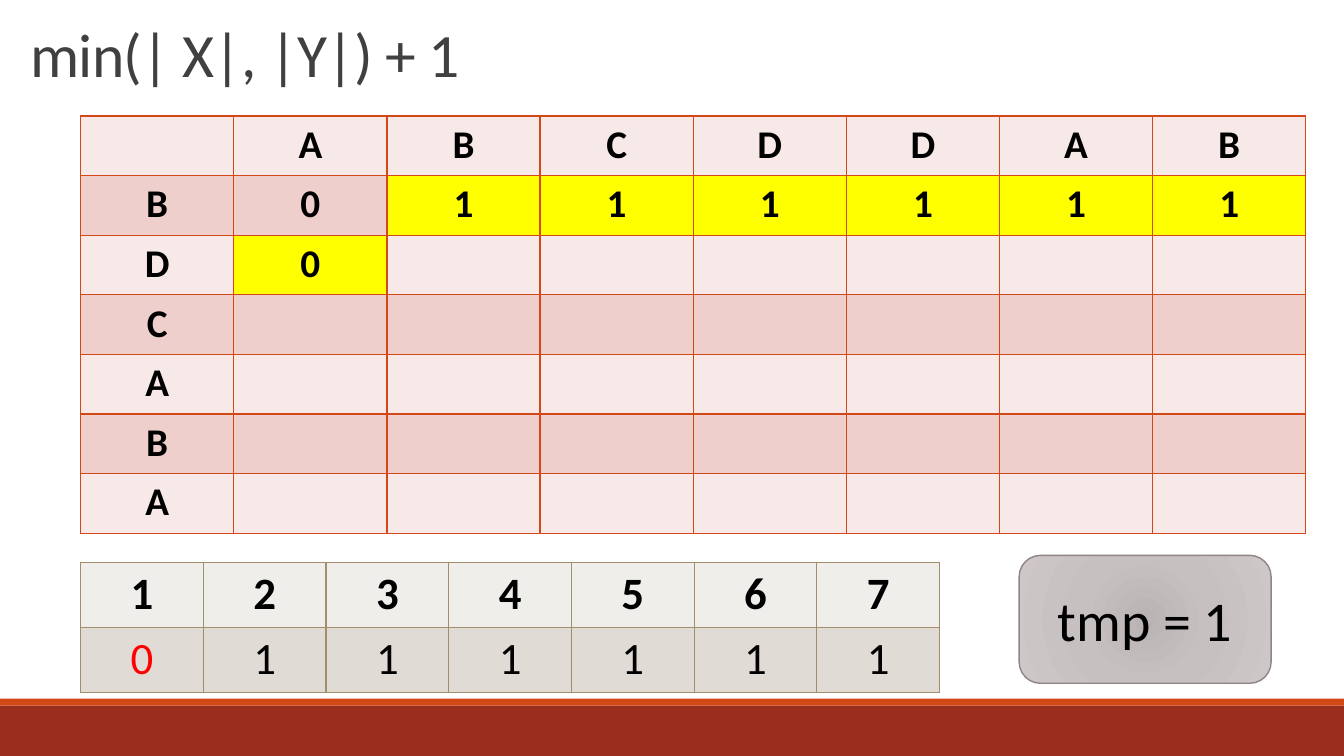
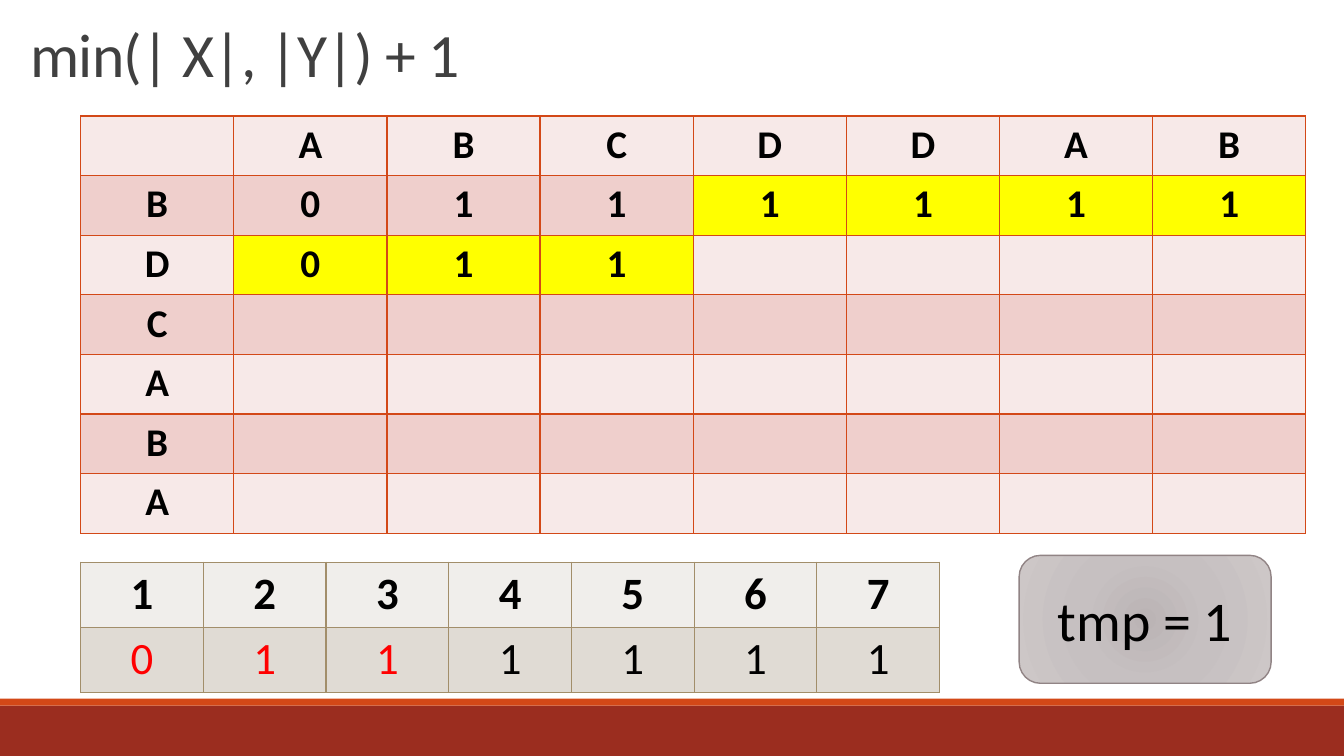
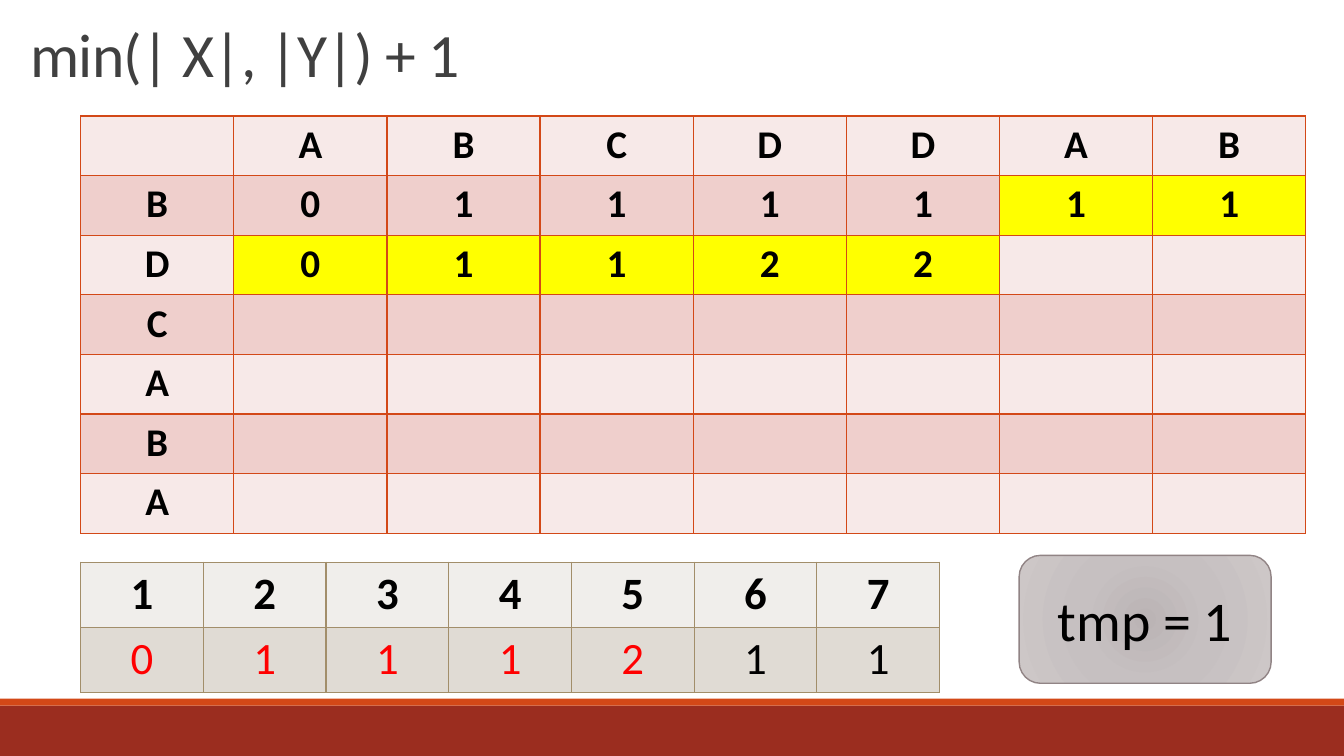
"""Build three slides that trace a longest-common-subsequence table kept in one row."""
from dataclasses import dataclass

from lxml import etree
from pptx import Presentation
from pptx.dml.color import RGBColor
from pptx.enum.shapes import MSO_SHAPE
from pptx.enum.text import MSO_ANCHOR, PP_ALIGN
from pptx.oxml import parse_xml
from pptx.oxml.ns import nsdecls
from pptx.slide import Slide
from pptx.table import _Cell
from pptx.text.text import TextFrame
from pptx.util import Pt

RECT, ROUND_RECT = MSO_SHAPE.RECTANGLE, MSO_SHAPE.ROUNDED_RECTANGLE
LEFT, CENTER = PP_ALIGN.LEFT, PP_ALIGN.CENTER
MIDDLE, BOTTOM = MSO_ANCHOR.MIDDLE, MSO_ANCHOR.BOTTOM
FONT = "Calibri"
SLIDE_W, SLIDE_H = 960, 540

COLORS = {
    "text": "000000",
    "title": "404040",
    "band": "9B2D1F",
    "accent": "D34817",
    "pink": "F7E9E8",
    "rose": "EFCFCC",
    "active": "FFFF00",
    "sand": "F0EEEB",
    "stone": "E0DBD4",
    "sand_line": "A28E6A",
    "changed": "FF0000",
    "box_line": "918485",
}
BOX_STOPS = ((0, "BBB4B5"), (45, "C6C0C1"), (100, "CDC7C7"))

X, Y = "ABCDDAB", "BDCABA"
FIRST_ROW, SECOND_ROW = "0111111", "01122"


@dataclass(frozen=True)
class Band:
    """A full-width strip at the foot of a slide."""
    top: float
    height: float
    color: str


@dataclass(frozen=True)
class Cell:
    """The content and look of one table cell."""
    text: str
    fill: str
    color: str = "text"
    bold: bool = True


@dataclass(frozen=True)
class Grid:
    """The place, cell size and style of a table."""
    left: float
    top: float
    col_w: float
    row_h: float
    size: float
    border: str


@dataclass(frozen=True)
class Step:
    """How many cells of the second row are done, and the stored row."""
    done: int
    stored: str


BANDS = (Band(504, 36, "band"), Band(499, 5, "accent"))
MATRIX = Grid(57.6, 82.8, 109.4, 42.6, 28, "accent")
STORE = Grid(57.6, 401.6, 87.65, 46.4, 32, "sand_line")
STEPS = (Step(1, "0111111"), Step(3, "0111111"), Step(5, "0111211"))


def rgb(name: str) -> RGBColor:
    """Return a named colour."""
    return RGBColor.from_string(COLORS[name])


def add_text(tf: TextFrame, text: str, size: float, color: str,
             align: PP_ALIGN = CENTER, bold: bool = False) -> None:
    """Write one run into the first paragraph of a text frame."""
    p = tf.paragraphs[0]
    p.alignment = align
    r = p.add_run()
    r.text = text
    r.font.name, r.font.size, r.font.bold = FONT, Pt(size), bold
    r.font.color.rgb = rgb(color)


def add_band(s: Slide, band: Band) -> None:
    """Draw one footer band."""
    sp = s.shapes.add_shape(RECT, 0, Pt(band.top), Pt(SLIDE_W), Pt(band.height))
    sp.shadow.inherit = False
    sp.fill.solid()
    sp.fill.fore_color.rgb = rgb(band.color)
    sp.line.fill.background()


def add_title(s: Slide, text: str) -> None:
    """Draw the title, tightly spaced and set on the bottom of its box."""
    tf = s.shapes.add_textbox(Pt(5), Pt(4.3), Pt(736), Pt(63.4)).text_frame
    tf.word_wrap = True
    tf.vertical_anchor = BOTTOM
    add_text(tf, text, 44, "title", LEFT)
    p = tf.paragraphs[0]
    p.line_spacing = 0.85
    p.runs[0].font._element.set("spc", "-50")


def set_borders(cell: _Cell, color: str) -> None:
    """Give a cell a one-point line on each side."""
    tc_pr = cell._tc.get_or_add_tcPr()
    for i, side in enumerate(("lnL", "lnR", "lnT", "lnB")):
        tc_pr.insert(i, parse_xml(
            f'<a:{side} {nsdecls("a")} w="{Pt(1)}"><a:solidFill>'
            f'<a:srgbClr val="{COLORS[color]}"/></a:solidFill></a:{side}>'))


def add_grid(s: Slide, grid: Grid, rows: list[list[Cell]]) -> None:
    """Draw a table of equal cells."""
    n_rows, n_cols = len(rows), len(rows[0])
    table = s.shapes.add_table(n_rows, n_cols, Pt(grid.left), Pt(grid.top),
                               Pt(grid.col_w * n_cols), Pt(grid.row_h * n_rows)).table
    table.first_row = table.horz_banding = False
    for col in table.columns:
        col.width = Pt(grid.col_w)
    for row, cells in zip(table.rows, rows):
        row.height = Pt(grid.row_h)
        for cell, item in zip(row.cells, cells):
            cell.fill.solid()
            cell.fill.fore_color.rgb = rgb(item.fill)
            set_borders(cell, grid.border)
            if item.text:
                add_text(cell.text_frame, item.text, grid.size, item.color, bold=item.bold)


def matrix_rows(done: int) -> list[list[Cell]]:
    """Return the main table, with the values still in memory highlighted."""
    values = [FIRST_ROW, SECOND_ROW[:done]] + [""] * (len(Y) - 2)
    rows = [[Cell(c, "pink") for c in ["", *X]]]
    for i, (letter, known) in enumerate(zip(Y, values)):
        base = "pink" if i % 2 else "rose"
        row = [Cell(letter, base)]
        for j, value in enumerate(known.ljust(len(X))):
            active = (i == 0 and j >= done) or (i == 1 and j < done)
            row.append(Cell(value.strip(), "active" if active else base))
        rows.append(row)
    return rows


def store_rows(step: Step) -> list[list[Cell]]:
    """Return the stored row under its indices, with new values in red."""
    return [
        [Cell(str(i + 1), "sand") for i in range(len(X))],
        [Cell(v, "stone", "changed" if i < step.done else "text", False)
         for i, v in enumerate(step.stored)],
    ]


def add_variable_box(s: Slide, text: str) -> None:
    """Draw the rounded box, shaded from its centre, that shows the variable."""
    sp = s.shapes.add_shape(ROUND_RECT, Pt(728), Pt(396.7), Pt(180), Pt(91.4))
    sp.shadow.inherit = False
    sp.line.color.rgb = rgb("box_line")
    sp.line.width = Pt(1)
    sp.fill.gradient()
    grad = sp._element.spPr.find("{*}gradFill")
    for child in list(grad):
        grad.remove(child)
    stops = "".join(f'<a:gs pos="{pos * 1000}"><a:srgbClr val="{color}"/></a:gs>'
                    for pos, color in BOX_STOPS)
    new = etree.fromstring(
        f'<a:gradFill {nsdecls("a")}><a:gsLst>{stops}</a:gsLst><a:path path="circle">'
        '<a:fillToRect l="100000" t="100000" r="100000" b="100000"/></a:path></a:gradFill>')
    grad.extend(list(new))
    tf = sp.text_frame
    tf.vertical_anchor = MIDDLE
    add_text(tf, text, 40, "text")


def main() -> None:
    """Build and save the presentation."""
    prs = Presentation()
    prs.slide_width, prs.slide_height = Pt(SLIDE_W), Pt(SLIDE_H)
    for step in STEPS:
        s = prs.slides.add_slide(prs.slide_layouts[6])
        for band in BANDS:
            add_band(s, band)
        add_title(s, " min(| X|, |Y|) + 1")
        add_grid(s, STORE, store_rows(step))
        add_grid(s, MATRIX, matrix_rows(step.done))
        add_variable_box(s, "tmp = 1")
    prs.save("out.pptx")


if __name__ == "__main__":
    main()
